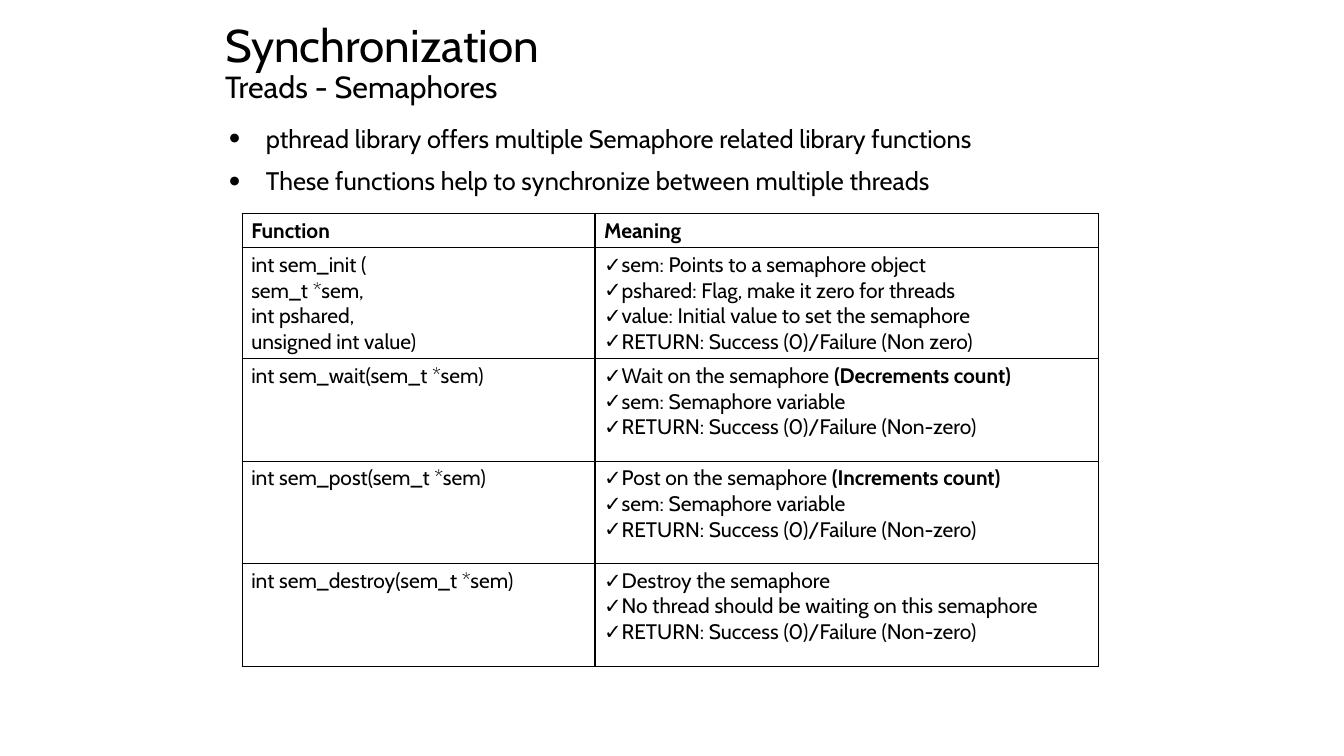
from dataclasses import dataclass

from lxml.etree import SubElement
from pptx import Presentation
from pptx.dml.color import RGBColor
from pptx.enum.text import MSO_ANCHOR, PP_ALIGN
from pptx.oxml.ns import qn
from pptx.util import Pt

BLACK = RGBColor(0x00, 0x00, 0x00)
WHITE = RGBColor(0xFF, 0xFF, 0xFF)
FONT = "Cabin"
TABLE_SIZE = 15
COLUMN_WIDTHS = (252, 359.5)
BORDER_WIDTH = 1


@dataclass(frozen=True)
class Bullet:
    symbol: str
    percent: int = 100
    margin: float = 0
    indent: float = 0


@dataclass(frozen=True)
class Line:
    text: str
    strong: str = ""


@dataclass(frozen=True)
class FunctionRow:
    signature: tuple[str, ...]
    meaning: tuple[Line, ...]
    height: float = 73.2


DOT = Bullet("●", 45, 33.8, -26)
CHECK = Bullet("✓")

SEMAPHORE = Line("sem: Semaphore variable")
RETURNS = Line("RETURN: Success (0)/Failure (Non-zero)")

INTRO = (
    "pthread library offers multiple Semaphore related library functions",
    "These functions help to synchronize between multiple threads",
)

FUNCTIONS = (
    FunctionRow(
        ("int sem_init (", "sem_t *sem,", "int pshared,", "unsigned int value)"),
        (
            Line("sem: Points to a semaphore object"),
            Line("pshared: Flag, make it zero for threads"),
            Line("value: Initial value to set the semaphore"),
            Line("RETURN: Success (0)/Failure (Non zero)"),
        ),
        79.3,
    ),
    FunctionRow(
        ("int sem_wait(sem_t *sem)",),
        (Line("Wait on the semaphore ", "(Decrements count)"), SEMAPHORE, RETURNS),
    ),
    FunctionRow(
        ("int sem_post(sem_t *sem)",),
        (Line("Post on the semaphore ", "(Increments count)"), SEMAPHORE, RETURNS),
    ),
    FunctionRow(
        ("int sem_destroy(sem_t *sem)",),
        (
            Line("Destroy the semaphore"),
            Line("No thread should be waiting on this semaphore"),
            RETURNS,
        ),
    ),
)


def style_font(font, size: float, bold: bool = False) -> None:
    font.name = FONT
    font.size = Pt(size)
    font.bold = bold
    font.color.rgb = BLACK


def add_bullet(para, bullet: Bullet) -> None:
    properties = para._p.get_or_add_pPr()
    properties.set("marL", str(Pt(bullet.margin)))
    properties.set("indent", str(Pt(bullet.indent)))
    color = SubElement(properties, qn("a:buClr"))
    SubElement(color, qn("a:srgbClr"), val=str(BLACK))
    SubElement(properties, qn("a:buSzPct"), val=str(bullet.percent * 1000))
    SubElement(properties, qn("a:buFont"), typeface=FONT)
    SubElement(properties, qn("a:buChar"), char=bullet.symbol)


def add_frame(page, left: float, top: float, width: float, height: float):
    frame = page.shapes.add_textbox(Pt(left), Pt(top), Pt(width), Pt(height)).text_frame
    frame.word_wrap = True
    frame.margin_left = frame.margin_right = frame.margin_top = frame.margin_bottom = 0
    return frame


def add_title(page) -> None:
    frame = add_frame(page, 160.8, 16.4, 643, 59)
    frame.vertical_anchor = MSO_ANCHOR.MIDDLE
    para = frame.paragraphs[0]
    para.line_spacing = 0.9
    heading = para.add_run()
    heading.text = "Synchronization"
    style_font(heading.font, 32.7)
    para.add_line_break()
    subtitle = para.add_run()
    subtitle.text = "Treads - Semaphores"
    style_font(subtitle.font, 21.8)


def add_intro(page) -> None:
    frame = add_frame(page, 156.2, 91.7, 648, 58.3)
    for index, text in enumerate(INTRO):
        para = frame.add_paragraph() if index else frame.paragraphs[0]
        para.text = text
        para.alignment = PP_ALIGN.JUSTIFY
        para.line_spacing = 0.81
        para.space_after = Pt(12.9)
        add_bullet(para, DOT)
        style_font(para.font, 18.1)


def add_borders(cell) -> None:
    properties = cell._tc.get_or_add_tcPr()
    for index, side in enumerate(("lnL", "lnR", "lnT", "lnB")):
        border = properties.makeelement(qn(f"a:{side}"), {"w": str(Pt(BORDER_WIDTH))})
        fill = SubElement(border, qn("a:solidFill"))
        SubElement(fill, qn("a:srgbClr"), val=str(BLACK))
        properties.insert(index, border)


def fill_cell(
    cell, lines: tuple[Line, ...], bullet: Bullet | None = None, bold: bool = False
) -> None:
    cell.fill.solid()
    cell.fill.fore_color.rgb = WHITE
    cell.margin_left = cell.margin_right = Pt(6.5)
    cell.margin_top = cell.margin_bottom = Pt(3.2)
    add_borders(cell)
    frame = cell.text_frame
    for index, line in enumerate(lines):
        para = frame.add_paragraph() if index else frame.paragraphs[0]
        if bullet:
            add_bullet(para, bullet)
        style_font(para.font, TABLE_SIZE, bold)
        para.add_run().text = line.text
        if line.strong:
            span = para.add_run()
            span.text = line.strong
            span.font.bold = True


def add_function_table(page) -> None:
    heights = (24.6, *(row.height for row in FUNCTIONS))
    table = page.shapes.add_table(
        len(heights), len(COLUMN_WIDTHS),
        Pt(173), Pt(152.4), Pt(sum(COLUMN_WIDTHS)), Pt(sum(heights)),
    ).table
    table.first_row = False
    table.horz_banding = False
    for column, width in zip(table.columns, COLUMN_WIDTHS):
        column.width = Pt(width)
    for row, height in zip(table.rows, heights):
        row.height = Pt(height)
    for index, heading in enumerate(("Function", "Meaning")):
        fill_cell(table.cell(0, index), (Line(heading),), bold=True)
    for index, function in enumerate(FUNCTIONS, start=1):
        fill_cell(table.cell(index, 0), tuple(map(Line, function.signature)))
        fill_cell(table.cell(index, 1), function.meaning, CHECK)


def main() -> None:
    deck = Presentation()
    deck.slide_width, deck.slide_height = Pt(960), Pt(540)
    page = deck.slides.add_slide(deck.slide_layouts[6])
    add_title(page)
    add_intro(page)
    add_function_table(page)
    deck.save("out.pptx")


if __name__ == "__main__":
    main()
